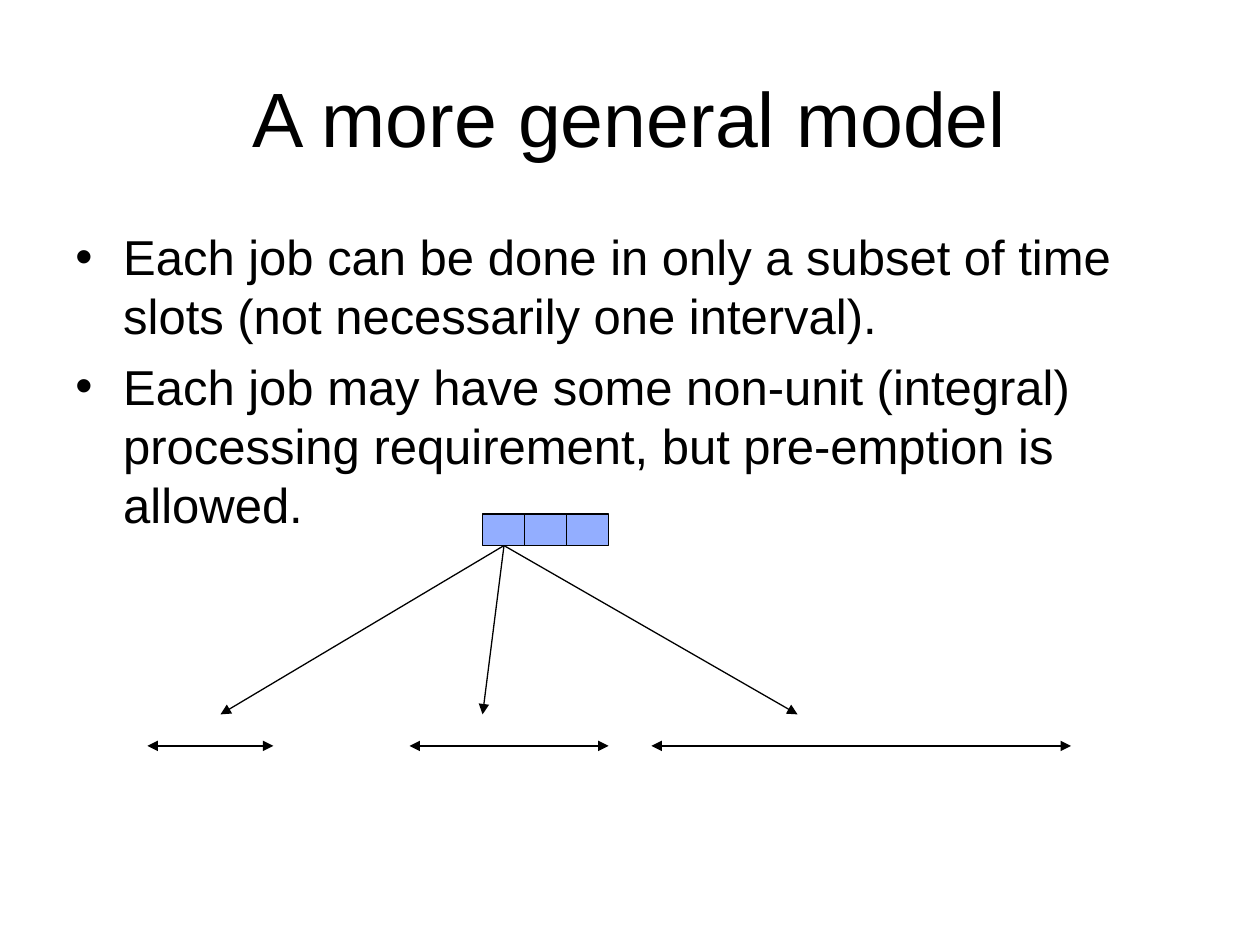
import pptx
import pptx.dml.color
import pptx.enum.shapes
import pptx.enum.text
import pptx.oxml.ns
import pptx.util
from lxml import etree

Inches = pptx.util.Inches
Pt = pptx.util.Pt


def rgb(hex_code):
    return pptx.dml.color.RGBColor.from_string(hex_code)


def add_xml(parent, tag, **attributes):
    return etree.SubElement(parent, pptx.oxml.ns.qn(tag), **attributes)


class SlideBuilder:
    FONT = "Arial"
    INK = "000000"
    SLOT_FILL = "3366FF"
    SLOT_OPACITY = 53
    LINE_WIDTH = 0.75
    TITLE_SIZE = 44
    BODY_SIZE = 28
    BULLET_INDENT = 0.38

    def __init__(self, slide):
        self.slide = slide

    def add_text(self, paragraph, text, size):
        run = paragraph.add_run()
        run.text = text
        run.font.name = self.FONT
        run.font.size = Pt(size)
        run.font.color.rgb = rgb(self.INK)

    def title(self, text, left, top, width, height):
        heading = self.slide.shapes.title
        heading.left, heading.top = Inches(left), Inches(top)
        heading.width, heading.height = Inches(width), Inches(height)
        heading.text_frame.vertical_anchor = pptx.enum.text.MSO_ANCHOR.MIDDLE
        paragraph = heading.text_frame.paragraphs[0]
        paragraph.alignment = pptx.enum.text.PP_ALIGN.CENTER
        self.add_text(paragraph, text, self.TITLE_SIZE)

    def bullets(self, points, left, top, width, height):
        frame = self.slide.shapes.add_textbox(
            Inches(left), Inches(top), Inches(width), Inches(height)).text_frame
        frame.word_wrap = True
        for index, point in enumerate(points):
            paragraph = frame.add_paragraph() if index else frame.paragraphs[0]
            properties = paragraph._p.get_or_add_pPr()
            properties.set("marL", str(Inches(self.BULLET_INDENT)))
            properties.set("indent", str(-Inches(self.BULLET_INDENT)))
            add_xml(add_xml(properties, "a:buClr"), "a:srgbClr", val=self.INK)
            add_xml(properties, "a:buFont", typeface=self.FONT)
            add_xml(properties, "a:buChar", char="•")
            paragraph.space_before = Pt(7 if index else 0)
            self.add_text(paragraph, point, self.BODY_SIZE)

    def outline(self, line):
        line.color.rgb = rgb(self.INK)
        line.width = Pt(self.LINE_WIDTH)

    def slot(self, left, top, width, height):
        """Draw one see-through unit of a job."""
        box = self.slide.shapes.add_shape(
            pptx.enum.shapes.MSO_SHAPE.RECTANGLE,
            Inches(left), Inches(top), Inches(width), Inches(height))
        box.shadow.inherit = False
        box.fill.solid()
        box.fill.fore_color.rgb = rgb(self.SLOT_FILL)
        color = box._element.spPr.find(".//" + pptx.oxml.ns.qn("a:srgbClr"))
        add_xml(color, "a:alpha", val=str(self.SLOT_OPACITY * 1000))
        self.outline(box.line)

    def arrow(self, start, end, both_ends=False):
        connector = self.slide.shapes.add_connector(
            pptx.enum.shapes.MSO_CONNECTOR.STRAIGHT,
            *(Inches(value) for value in (*start, *end)))
        self.outline(connector.line)
        line = connector.line._get_or_add_ln()
        if both_ends:
            add_xml(line, "a:headEnd", type="triangle")
        add_xml(line, "a:tailEnd", type="triangle")
        add_xml(connector._element.spPr, "a:effectLst")


def main():
    deck = pptx.Presentation()
    deck.slide_width, deck.slide_height = Inches(10), Inches(7.5)
    builder = SlideBuilder(deck.slides.add_slide(deck.slide_layouts[5]))

    builder.title("A more general model", 0.5, 0.3, 9, 1.25)
    builder.bullets([
        "Each job can be done in only a subset of time slots "
        "(not necessarily one interval).",
        "Each job may have some non-unit (integral) processing requirement, "
        "but pre-emption is allowed.",
    ], 0.5, 1.75, 9, 4.95)

    interval_y = 5.92
    for start, end in [(1.17, 2.17), (3.25, 4.83), (5.17, 8.5)]:
        builder.arrow((start, interval_y), (end, interval_y), both_ends=True)

    job_left, job_top, slot_height = 3.83, 4.08, 0.25
    slot_count = 3
    slot_width = 1 / slot_count
    for index in range(slot_count):
        builder.slot(job_left + index * slot_width, job_top, slot_width, slot_height)

    first_slot_base = (4, job_top + slot_height)
    for target in (1.75, 3.83, 6.33):
        builder.arrow(first_slot_base, (target, 5.67))

    deck.save("out.pptx")


if __name__ == "__main__":
    main()
